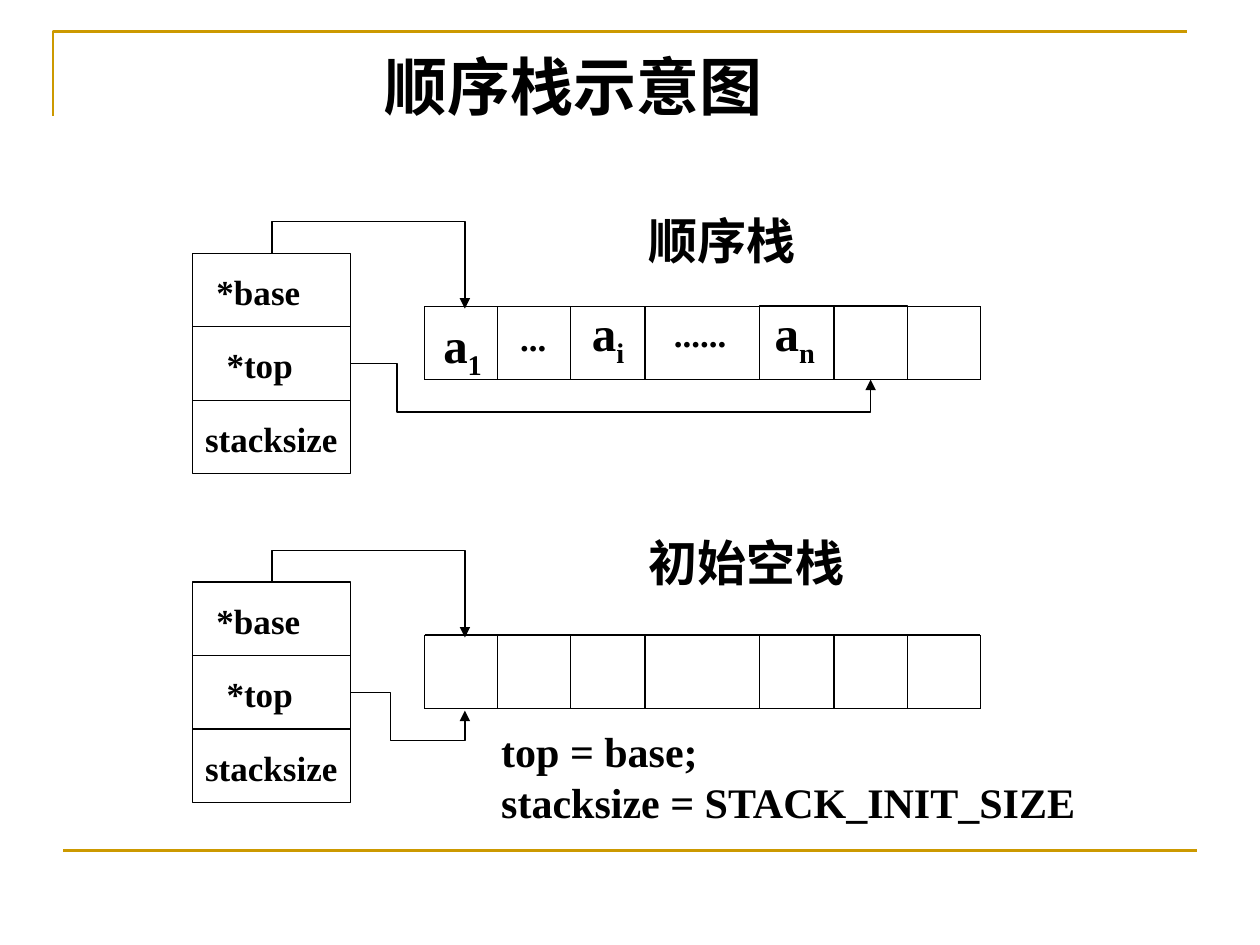
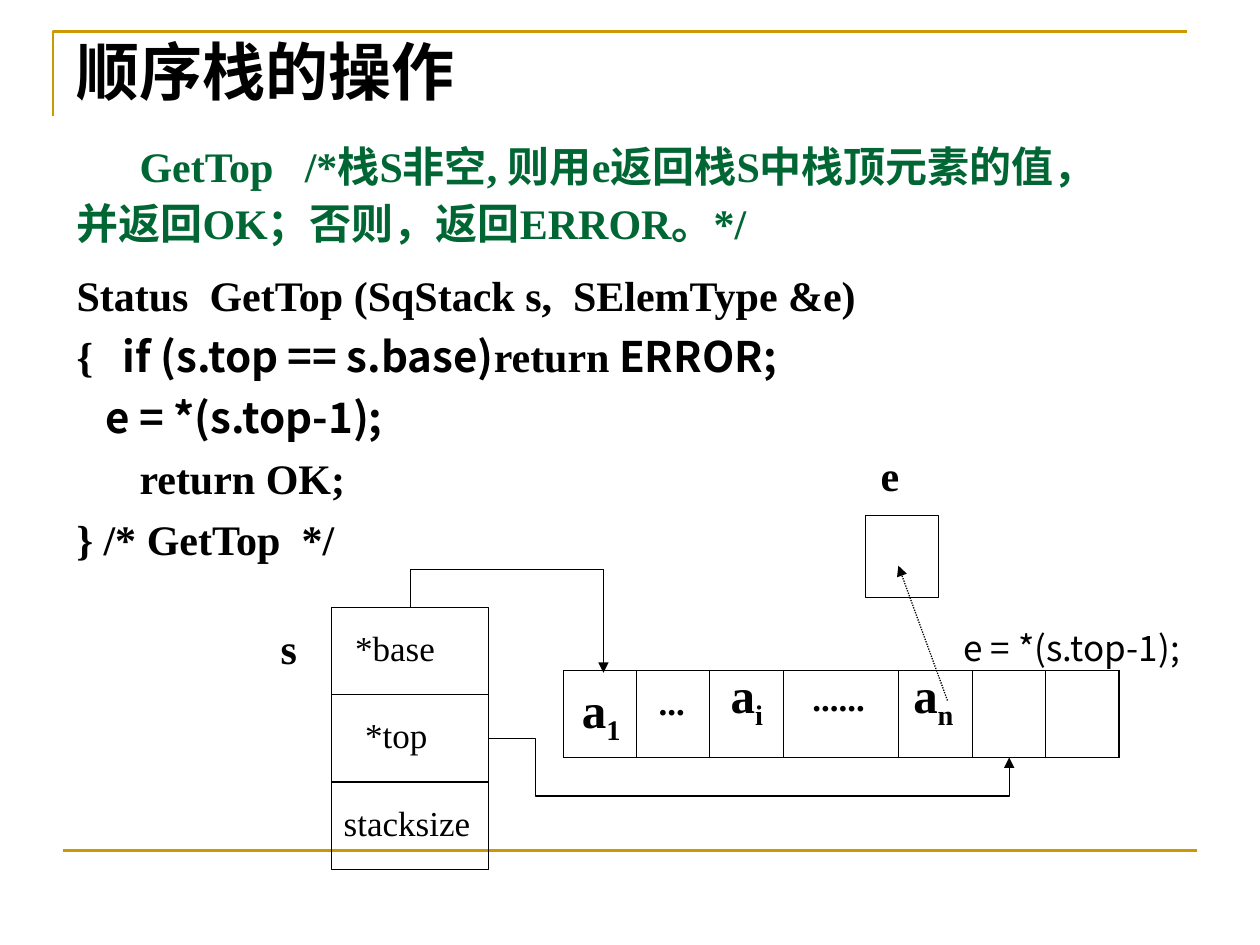
from lxml.etree import SubElement
from pptx import Presentation
from pptx.dml.color import RGBColor
from pptx.enum.dml import MSO_LINE
from pptx.enum.shapes import MSO_CONNECTOR, MSO_SHAPE
from pptx.oxml.ns import qn
from pptx.util import Inches, Pt

BLACK = RGBColor(0x00, 0x00, 0x00)
GOLD = RGBColor(0xCC, 0x99, 0x00)
GREEN = RGBColor(0x00, 0x66, 0x33)
SERIF = "Times New Roman"
SANS = "Noto Sans CJK SC"
CELL_EDGES = [0, 0.58, 1.16, 1.75, 2.66, 3.25, 3.83, 4.41]
BOXED_CELLS = [4, 5]
CELL_LABELS = [
    ("a", "1", 0.05, 0.03),
    ("...", "", 0.66, 0.05),
    ("a", "i", 1.23, -0.14),
    ("......", "", 1.88, 0),
    ("a", "n", 2.68, -0.14),
]
CODE = [
    [("Status  GetTop (SqStack s,  SElemType &e)", SERIF)],
    [("{ ", SERIF), ("  if (s.top == s.base)", SANS), ("return", SERIF), (" ERROR;", SANS)],
    [("   e = *(s.top-1);", SANS)],
    [("      return OK;", SERIF)],
    [("} /* GetTop  */", SERIF)],
]


def add_text(slide, text, left, top, width=1.3, height=0.44, size=20, bold=True,
             color=BLACK, font=SERIF, subscript="", spacing=None, indent=0):
    box = slide.shapes.add_textbox(Inches(left), Inches(top), Inches(width), Inches(height))
    frame = box.text_frame
    frame.word_wrap = True
    lines = [[(text, font)]] if isinstance(text, str) else text
    for index, runs in enumerate(lines):
        paragraph = frame.paragraphs[0] if index == 0 else frame.add_paragraph()
        if spacing:
            paragraph.line_spacing = Pt(spacing)
        if indent:
            paragraph._p.get_or_add_pPr().set("indent", str(Inches(indent)))
        pieces = [(*run, None) for run in runs]
        if subscript:
            pieces.append((subscript, font, "-25000"))
        for words, typeface, baseline in pieces:
            run = paragraph.add_run()
            run.text = words
            run.font.name = typeface
            run.font.size = Pt(size)
            run.font.bold = bold
            run.font.color.rgb = color
            run_properties = run._r.get_or_add_rPr()
            SubElement(run_properties, qn("a:ea"), typeface=SANS)
            if baseline:
                run_properties.set("baseline", baseline)


def add_line(slide, start, end, color=BLACK, weight=0.75, arrow=False,
             kind=MSO_CONNECTOR.STRAIGHT):
    connector = slide.shapes.add_connector(
        kind, *[Inches(value) for value in (*start, *end)])
    connector.line.color.rgb = color
    connector.line.width = Pt(weight)
    if arrow:
        SubElement(connector.line._get_or_add_ln(), qn("a:tailEnd"), type="triangle")
    SubElement(connector._element.spPr, qn("a:effectLst"))
    return connector


def set_bends(connector, preset, *ratios):
    geometry = connector._element.spPr.find(qn("a:prstGeom"))
    geometry.set("prst", preset)
    guides = geometry.find(qn("a:avLst"))
    if guides is None:
        guides = SubElement(geometry, qn("a:avLst"))
    for number, ratio in enumerate(ratios, 1):
        SubElement(guides, qn("a:gd"), name=f"adj{number}",
                   fmla=f"val {round(ratio * 100000)}")


def add_over_arrow(slide, start, end, rise):
    run, drop = end[0] - start[0], end[1] - start[1]
    center_x, center_y = (start[0] + end[0]) / 2, (start[1] + end[1]) / 2
    connector = add_line(slide, (center_x - drop / 2, center_y - run / 2),
                         (center_x + drop / 2, center_y + run / 2),
                         arrow=True, kind=MSO_CONNECTOR.ELBOW)
    transform = connector._element.spPr.find(qn("a:xfrm"))
    transform.set("rot", "16200000")
    transform.set("flipH", "1")
    set_bends(connector, "bentConnector3", -rise / drop)


def add_under_arrow(slide, start, end, bend_x, bend_y):
    connector = add_line(slide, start, end, arrow=True, kind=MSO_CONNECTOR.ELBOW)
    set_bends(connector, "bentConnector4", (bend_x - start[0]) / (end[0] - start[0]),
              (bend_y - start[1]) / (end[1] - start[1]))


def add_box(slide, left, top, width, height):
    shape = slide.shapes.add_shape(
        MSO_SHAPE.RECTANGLE, Inches(left), Inches(top), Inches(width), Inches(height))
    shape.shadow.inherit = False
    shape.fill.background()
    shape.line.color.rgb = BLACK
    shape.line.width = Pt(0.75)


def add_cells(slide, left, top, height, filled):
    for y in (top, top + height):
        add_line(slide, (left, y), (left + CELL_EDGES[-1], y))
    for edge in CELL_EDGES:
        if edge != CELL_EDGES[BOXED_CELLS[-1]]:
            add_line(slide, (left + edge, top), (left + edge, top + height))
    for cell in BOXED_CELLS:
        start, end = CELL_EDGES[cell:cell + 2]
        add_box(slide, left + start, top, end - start, height)
    if filled:
        for text, subscript, x, y in CELL_LABELS:
            add_text(slide, text, left + x, top + y * height, width=0.8,
                     size=28 if subscript else 20, subscript=subscript)


def add_stack(slide, left, top, height, filled=True, bold=True):
    row = height / 3
    add_box(slide, left, top, 1.25, height)
    add_box(slide, left, top + row, 1.25, row)
    for index, (field, x) in enumerate([("*base", 0.09), ("*top", 0.17), ("stacksize", 0)]):
        add_text(slide, field, left + x, top + (index + 0.15) * row, width=1.4, bold=bold)
    cells_top = top + 0.72 * row
    add_cells(slide, left + 1.84, cells_top, row, filled)
    add_over_arrow(slide, (left + 0.63, top), (left + 2.16, cells_top + 0.02), 0.43 * row)
    target_x, target_y, bend_x = (5.38, 1.72, 1.62) if filled else (2.16, 1.75, 1.57)
    add_under_arrow(slide, (left + 1.25, top + 1.5 * row),
                    (left + target_x, top + target_y * row),
                    left + bend_x, top + 2.16 * row)


def add_frame(slide, title, left, top):
    builder = slide.shapes.build_freeform(Inches(0.42), Inches(0.92))
    builder.add_line_segments(
        [(Inches(0.42), Inches(0.25)), (Inches(9.42), Inches(0.25))], close=False)
    corner = builder.convert_to_shape()
    corner.shadow.inherit = False
    corner.fill.background()
    corner.line.color.rgb = GOLD
    corner.line.width = Pt(1.5)
    add_line(slide, (0.5, 6.75), (9.5, 6.75), GOLD, 1.5)
    add_text(slide, title, left, top, width=4.09, height=0.82, size=36)


def build_diagram_slide(slide):
    add_frame(slide, "顺序栈示意图", 2.95, 0.33)
    add_stack(slide, 1.53, 2.01, 1.75)
    add_stack(slide, 1.53, 4.62, 1.75, filled=False)
    for label, top in (("顺序栈", 1.62), ("初始空栈", 4.18)):
        add_text(slide, label, 5.05, top, width=2, height=0.57, size=28)
    settings = ["top = base;", "stacksize = STACK_INIT_SIZE"]
    add_text(slide, [[(line, SERIF)] for line in settings], 3.88, 5.71,
             width=5, height=0.9, size=24)


def build_operation_slide(slide):
    add_frame(slide, "顺序栈的操作", 0.51, 0.21)
    add_text(slide, "GetTop   /*栈S非空, 则用e返回栈S中栈顶元素的值，并返回OK；否则，返回ERROR。*/",
             0.51, 1.01, width=8.5, height=1, size=24, color=GREEN,
             spacing=32.6, indent=0.5)
    add_text(slide, CODE, 0.51, 2.01, width=8.5, height=2.75, size=24, spacing=34.8)
    add_stack(slide, 2.63, 4.82, 2.08, bold=False)
    add_text(slide, "s", 2.13, 4.89, width=0.4, height=0.5, size=24)
    add_box(slide, 6.87, 4.09, 0.58, 0.65)
    add_text(slide, "e", 6.89, 3.52, width=0.4, height=0.5, size=24)
    copy_arrow = add_line(slide, (7.52, 5.56), (7.13, 4.49), arrow=True)
    copy_arrow.line.dash_style = MSO_LINE.ROUND_DOT
    add_text(slide, "e = *(s.top-1);", 7.55, 4.92, width=2.1, bold=False, font=SANS)


def main():
    presentation = Presentation()
    presentation.slide_width = Inches(10)
    presentation.slide_height = Inches(7.5)
    for build in (build_diagram_slide, build_operation_slide):
        build(presentation.slides.add_slide(presentation.slide_layouts[6]))
    presentation.save("out.pptx")


if __name__ == "__main__":
    main()
